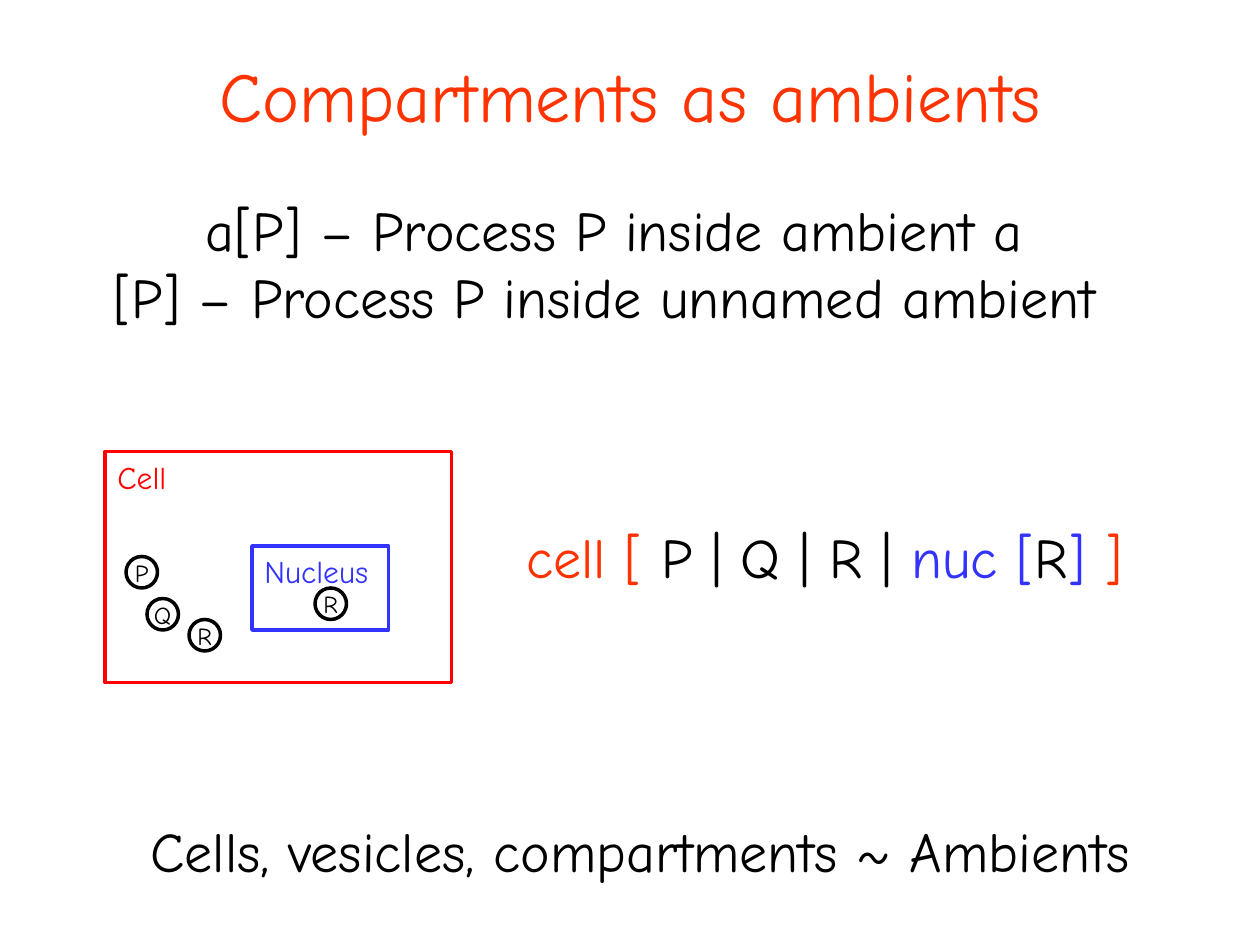
from typing import NamedTuple

from pptx import Presentation
from pptx.dml.color import RGBColor
from pptx.enum.shapes import MSO_SHAPE as Preset
from pptx.enum.text import MSO_ANCHOR as Anchor, PP_ALIGN as Align
from pptx.util import Inches, Pt

FONT = "Comic Neue"
ORANGE = RGBColor(0xFF, 0x33, 0x00)
RED = RGBColor(0xFF, 0x00, 0x00)
BLUE = RGBColor(0x33, 0x33, 0xFF)
BLACK = RGBColor(0x00, 0x00, 0x00)
WHITE = RGBColor(0xFF, 0xFF, 0xFF)

# The slide is a grid of 120 columns by 90 rows
UNIT = Inches(10) // 120
PROCESS_SIZE = 3


class Area(NamedTuple):
    col: int
    row: int
    cols: int
    rows: int

    def emu(self) -> list[int]:
        return [UNIT * cells for cells in self]


class Span(NamedTuple):
    text: str
    color: RGBColor = BLACK


class Compartment(NamedTuple):
    name: str
    area: Area
    color: RGBColor


class Process(NamedTuple):
    name: str
    col: int
    row: int


def write(frame, lines: list[list[Span]], *, size: int, align=Align.CENTER,
          anchor=Anchor.MIDDLE, wrap: bool = False) -> None:
    """Write lines of coloured spans as one paragraph."""
    frame.word_wrap = wrap
    frame.vertical_anchor = anchor
    paragraph = frame.paragraphs[0]
    paragraph.alignment = align
    for number, line in enumerate(lines):
        if number:
            paragraph.add_line_break()
        for span in line:
            run = paragraph.add_run()
            run.text = span.text
            run.font.name = FONT
            run.font.size = Pt(size)
            run.font.color.rgb = span.color


def add_text(slide, area: Area, lines: list[list[Span]], *,
             size: int = 32, wrap: bool = False) -> None:
    box = slide.shapes.add_textbox(*area.emu())
    write(box.text_frame, lines, size=size, wrap=wrap)


def add_outline(slide, preset, area: Area, color: RGBColor):
    shape = slide.shapes.add_shape(preset, *area.emu())
    shape.shadow.inherit = False
    shape.line.color.rgb = color
    shape.line.width = Pt(2)
    return shape


def add_compartment(slide, item: Compartment) -> None:
    shape = add_outline(slide, Preset.RECTANGLE, item.area, item.color)
    shape.fill.background()
    write(shape.text_frame, [[Span(item.name, item.color)]], size=18,
          align=Align.LEFT, anchor=Anchor.TOP)


def add_process(slide, item: Process) -> None:
    area = Area(item.col, item.row, PROCESS_SIZE, PROCESS_SIZE)
    shape = add_outline(slide, Preset.OVAL, area, BLACK)
    shape.fill.solid()
    shape.fill.fore_color.rgb = WHITE
    write(shape.text_frame, [[Span(item.name)]], size=14)


COMPARTMENTS = [
    Compartment("Cell", Area(10, 43, 33, 22), RED),
    Compartment("Nucleus", Area(24, 52, 13, 8), BLUE),
]
PROCESSES = [
    Process("P", 12, 53),
    Process("Q", 14, 57),
    Process("R", 18, 59),
    Process("R", 30, 56),
]
DEFINITIONS = [
    [Span("a[P] – Process P inside ambient a")],
    [Span("[P] – Process P inside unnamed ambient ")],
]
CELL_TERM = [
    Span("cell [", ORANGE),
    Span(" P | Q | R | "),
    Span("nuc [", BLUE),
    Span("R"),
    Span("] ", BLUE),
    Span("]", ORANGE),
]


def main() -> None:
    deck = Presentation()
    deck.slide_width = UNIT * 120
    deck.slide_height = UNIT * 90
    slide = deck.slides.add_slide(deck.slide_layouts[6])

    # Title and notation
    add_text(slide, Area(6, 4, 108, 10),
             [[Span("Compartments as ambients", ORANGE)]], size=40, wrap=True)
    add_text(slide, Area(8, 19, 101, 12), DEFINITIONS)

    # Conclusion
    add_text(slide, Area(8, 75, 106, 12),
             [[Span("Cells, vesicles, compartments ~ Ambients")]])

    # Cell diagram
    for compartment in COMPARTMENTS:
        add_compartment(slide, compartment)
    for process in PROCESSES:
        add_process(slide, process)

    # The same cell as a term
    add_text(slide, Area(48, 47, 61, 12), [CELL_TERM])

    deck.save("out.pptx")


if __name__ == "__main__":
    main()
